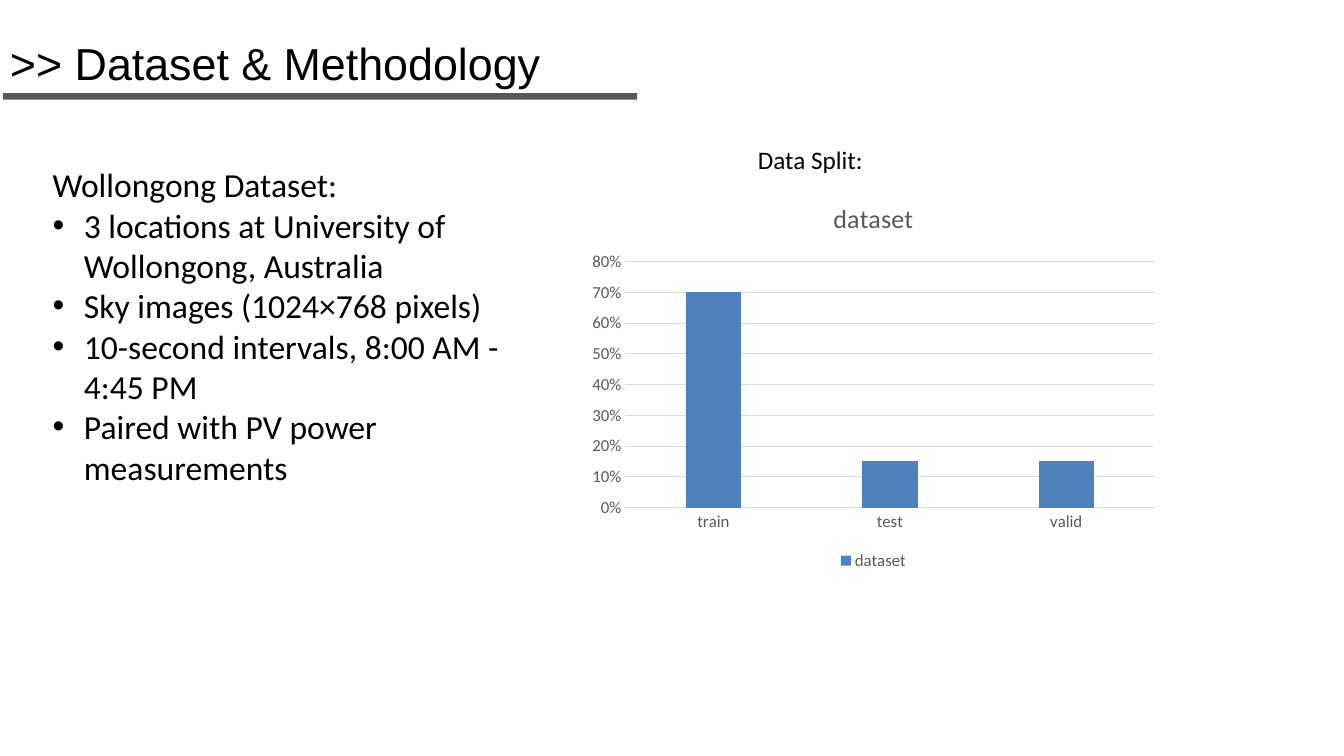
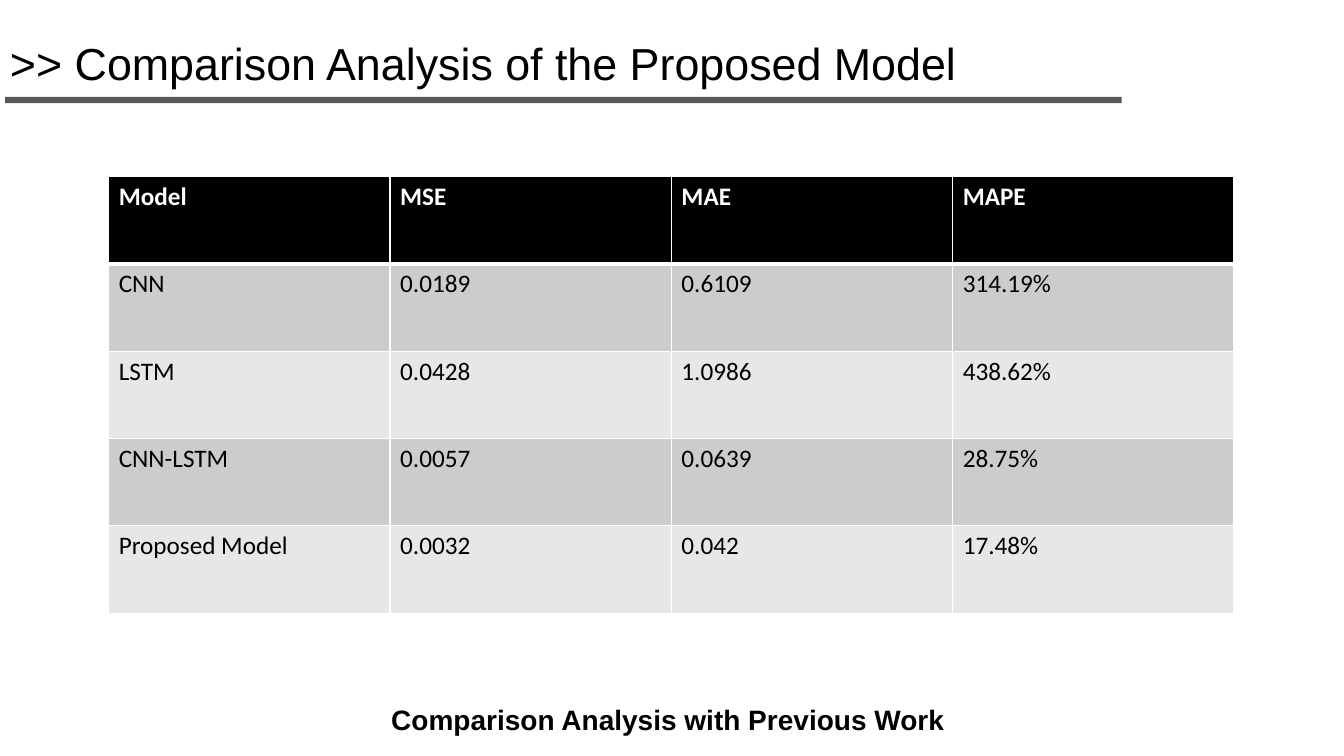
from lxml.etree import SubElement
from pptx import Presentation
from pptx.chart.data import CategoryChartData
from pptx.dml.color import RGBColor
from pptx.enum.chart import XL_CHART_TYPE as ChartType, XL_LEGEND_POSITION as LegendPosition, XL_TICK_MARK as TickMark
from pptx.enum.shapes import MSO_SHAPE as Shape
from pptx.enum.text import MSO_ANCHOR as Anchor, MSO_AUTO_SIZE as AutoSize, PP_ALIGN as Align
from pptx.oxml.ns import qn
from pptx.util import Cm, Pt

COLORS = {
    "text": "000000", "header_text": "FFFFFF", "rule": "585858", "chart_text": "595959",
    "grid": "D9D9D9", "bar": "4F81BD", "header": "000000", "border": "FFFFFF",
    "odd_row": "CCCCCC", "even_row": "E7E7E7",
}
HEADING_FONT, BODY_FONT = "Arial", "Calibri"

DATASET_TITLE = ">> Dataset & Methodology"
DATASET_HEADING = "Wollongong Dataset:"
DATASET_FACTS = [
    "3 locations at University of Wollongong, Australia",
    "Sky images (1024×768 pixels)",
    "10-second intervals, 8:00 AM - 4:45 PM",
    "Paired with PV power measurements",
]
SPLIT_HEADING = "Data Split:"
SPLIT_NAME = "dataset"
SPLIT = {"train": 0.7, "test": 0.15, "valid": 0.15}

COMPARISON_TITLE = ">> Comparison Analysis of the Proposed Model"
COMPARISON_CAPTION = "Comparison Analysis with Previous Work"
RESULTS = [
    ("Model", "MSE", "MAE", "MAPE"),
    ("CNN", "0.0189", "0.6109", "314.19%"),
    ("LSTM", "0.0428", "1.0986", "438.62%"),
    ("CNN-LSTM", "0.0057", "0.0639", "28.75%"),
    ("Proposed Model", "0.0032", "0.042", "17.48%"),
]


def rgb(name):
    return RGBColor.from_string(COLORS[name])


def style_font(font, size, color="text", name=BODY_FONT, bold=False):
    font.name, font.size, font.bold = name, Pt(size), bold
    font.color.rgb = rgb(color)


def place(shape, left, top, width, height):
    shape.left, shape.top, shape.width, shape.height = Cm(left), Cm(top), Cm(width), Cm(height)


def prepare_frame(frame, inset=None):
    frame.word_wrap = True
    frame.auto_size = AutoSize.NONE
    frame.vertical_anchor = Anchor.TOP
    if inset is not None:
        frame.margin_left = frame.margin_right = frame.margin_bottom = 0
        frame.margin_top = Cm(inset)


def add_titled_slide(deck, layout, text, rule_box):
    slide = deck.slides.add_slide(deck.slide_layouts[layout])
    rule = slide.shapes.add_shape(Shape.RECTANGLE, *map(Cm, rule_box))
    rule.shadow.inherit = False
    rule.fill.solid()
    rule.fill.fore_color.rgb = rgb("rule")
    rule.line.fill.background()
    title = slide.shapes.title
    place(title, 0.25, 0.88, 28, 1.42)
    prepare_frame(title.text_frame, 0.03)
    title.text_frame.text = text
    paragraph = title.text_frame.paragraphs[0]
    paragraph.alignment = Align.LEFT
    style_font(paragraph.font, 32, name=HEADING_FONT)
    return slide


def add_label(slide, text, box, size, inset=None, **font_style):
    frame = slide.shapes.add_textbox(*map(Cm, box)).text_frame
    prepare_frame(frame, inset)
    frame.text = text
    style_font(frame.paragraphs[0].font, size, **font_style)


def fill_facts(body):
    place(body, 1.07, 4.01, 12.5, 8.46)
    frame = body.text_frame
    prepare_frame(frame)
    frame.text = "\n".join([DATASET_HEADING, *DATASET_FACTS])
    for index, paragraph in enumerate(frame.paragraphs):
        paragraph.space_before = Pt(0)
        properties = paragraph._p.get_or_add_pPr()
        indent = Cm(0.79) if index else 0
        properties.set("marL", str(indent))
        properties.set("indent", str(-indent))
        if index:
            SubElement(properties, qn("a:buFont"), typeface="Arial")
            SubElement(properties, qn("a:buChar"), char="•")
        else:
            SubElement(properties, qn("a:buNone"))
        style_font(paragraph.font, 24)


def add_split_chart(slide):
    data = CategoryChartData(number_format="0%")
    data.categories = list(SPLIT)
    data.add_series(SPLIT_NAME, list(SPLIT.values()))
    box = map(Cm, (14.63, 4.6, 14.76, 9.88))
    chart = slide.shapes.add_chart(ChartType.COLUMN_CLUSTERED, *box, data).chart
    style_font(chart.font, 10)

    chart.has_title = True
    chart.chart_title.include_in_layout = False
    chart.chart_title.text_frame.text = SPLIT_NAME
    style_font(chart.chart_title.text_frame.paragraphs[0].font, 18.6, "chart_text")
    chart.has_legend = True
    chart.legend.position = LegendPosition.BOTTOM
    chart.legend.include_in_layout = False
    style_font(chart.legend.font, 12, "chart_text")

    for axis in (chart.category_axis, chart.value_axis):
        axis.major_tick_mark = axis.minor_tick_mark = TickMark.NONE
        style_font(axis.tick_labels.font, 12, "chart_text")
    values = chart.value_axis
    values.format.line.fill.background()
    values.tick_labels.number_format = "0%"
    values.tick_labels.number_format_is_linked = False
    for line in (chart.category_axis.format.line, values.major_gridlines.format.line):
        line.color.rgb = rgb("grid")
        line.width = Pt(0.75)

    plot = chart.plots[0]
    plot.gap_width, plot.overlap, plot.vary_by_categories = 219, -27, False
    bars = plot.series[0].format.fill
    bars.solid()
    bars.fore_color.rgb = rgb("bar")


def set_borders(cell, widths):
    properties = cell._tc.get_or_add_tcPr()
    for side, width in widths.items():
        line = SubElement(properties, qn(f"a:ln{side}"), w=str(Pt(width)))
        fill = SubElement(line, qn("a:solidFill"))
        SubElement(fill, qn("a:srgbClr"), val=COLORS["border"])


def add_results_table(slide):
    box = map(Cm, (2.74, 4.45, 28.36, 11))
    table = slide.shapes.add_table(len(RESULTS), len(RESULTS[0]), *box).table
    for row, values in enumerate(RESULTS):
        is_header = row == 0
        band = "header" if is_header else "odd_row" if row % 2 else "even_row"
        for column, text in enumerate(values):
            cell = table.cell(row, column)
            set_borders(cell, {"L": 1, "R": 1, "T": 3 if row == 1 else 1, "B": 3 if is_header else 1})
            cell.fill.solid()
            cell.fill.fore_color.rgb = rgb(band)
            cell.text = text
            color = "header_text" if is_header else "text"
            style_font(cell.text_frame.paragraphs[0].font, 18, color, bold=is_header)


def main():
    """Build the dataset slide and the model comparison slide."""
    deck = Presentation()
    deck.slide_width, deck.slide_height = Cm(33.87), Cm(19.05)

    dataset = add_titled_slide(deck, 1, DATASET_TITLE, (0.08, 2.35, 15.98, 0.16))
    fill_facts(dataset.placeholders[1])
    add_label(dataset, SPLIT_HEADING, (18.85, 3.51, 5.72, 1.02), 18)
    add_split_chart(dataset)

    comparison = add_titled_slide(deck, 5, COMPARISON_TITLE, (0.13, 2.44, 28.14, 0.16))
    add_label(comparison, COMPARISON_CAPTION, (9.86, 17.67, 14.5, 0.91), 20,
              inset=0.03, name=HEADING_FONT, bold=True)
    add_results_table(comparison)

    deck.save("out.pptx")


if __name__ == "__main__":
    main()
